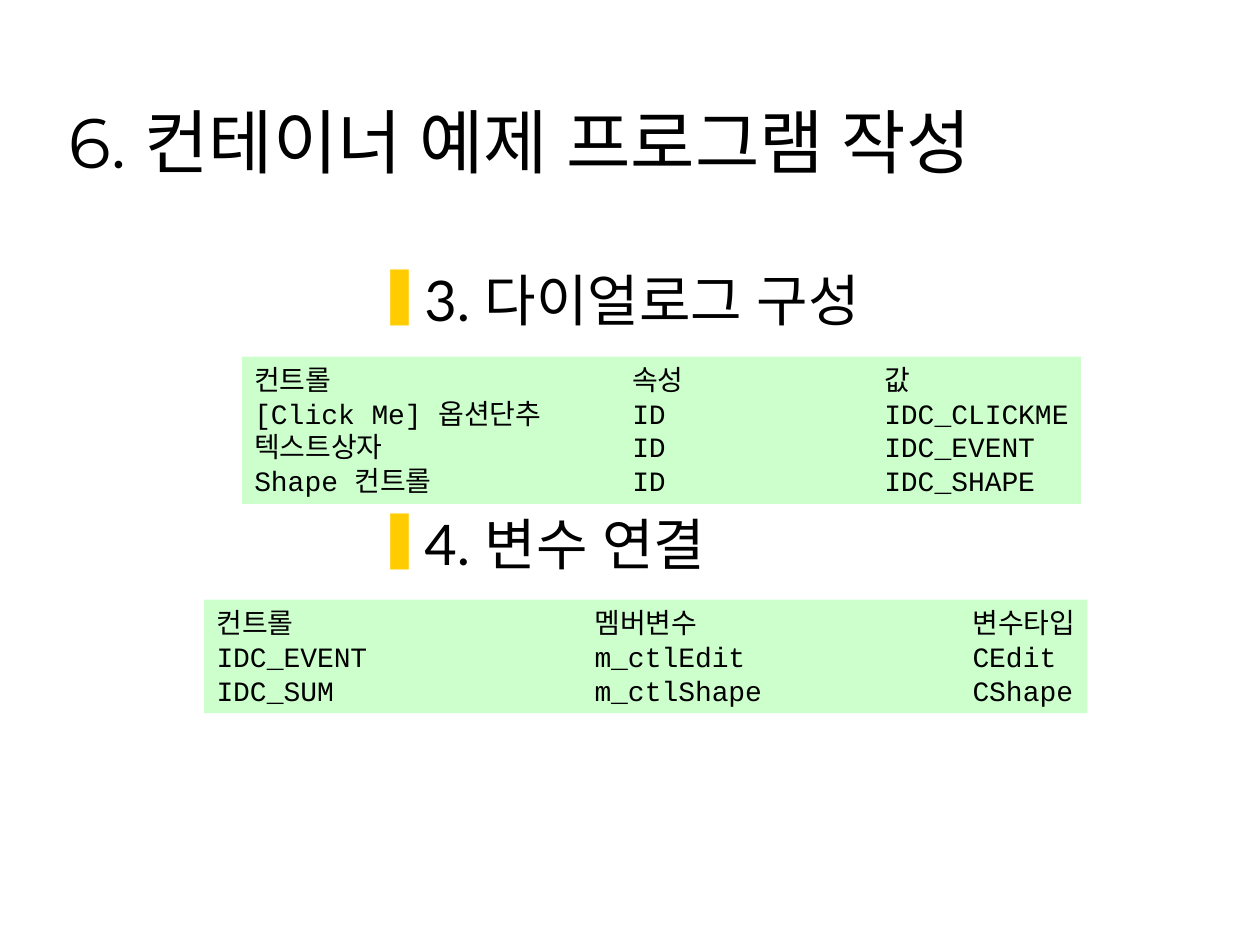
from dataclasses import dataclass

from lxml.etree import SubElement
from pptx import Presentation
from pptx.dml.color import RGBColor
from pptx.enum.shapes import MSO_SHAPE
from pptx.enum.text import MSO_ANCHOR, MSO_AUTO_SIZE, PP_ALIGN
from pptx.oxml.ns import qn
from pptx.util import Inches, Pt

BLACK = RGBColor(0x00, 0x00, 0x00)
AMBER = RGBColor(0xFF, 0xCC, 0x00)
MINT = RGBColor(0xCC, 0xFF, 0xCC)
HEADINGS = ["3. 다이얼로그 구성", "4. 변수 연결"]


@dataclass
class Listing:
    left: float
    top: float
    width: float
    height: float
    rows: list[str]


LISTINGS = [
    Listing(1.92, 2.83, 6.66, 1.17, [
        "컨트롤\t\t\t속성\t\t값",
        "[Click Me] 옵션단추\tID\t\tIDC_CLICKME",
        "텍스트상자\t\tID\t\tIDC_EVENT",
        "Shape 컨트롤\t\tID\t\tIDC_SHAPE",
    ]),
    Listing(1.62, 4.76, 7.01, 0.9, [
        "컨트롤\t\t\t멤버변수\t\t\t변수타입",
        "IDC_EVENT\t\tm_ctlEdit\t\tCEdit",
        "IDC_SUM\t\t\tm_ctlShape\t\tCShape",
    ]),
]


def style_text(para, font_name: str, size: float) -> None:
    """Format every run, with one font for Latin and Korean text."""
    para.alignment = PP_ALIGN.LEFT
    for span in para.runs:
        span.font.name = font_name
        span.font.size = Pt(size)
        span.font.color.rgb = BLACK
        SubElement(span.font._element, qn("a:ea"), typeface=font_name)


def add_bullet(para, margin: float, hanging: float) -> None:
    properties = para._p.get_or_add_pPr()
    properties.set("marL", str(Inches(margin)))
    properties.set("indent", str(-Inches(hanging)))
    color = SubElement(properties, qn("a:buClr"))
    SubElement(color, qn("a:srgbClr"), val=str(AMBER))
    SubElement(properties, qn("a:buChar"), char="❚")


def add_tab_stops(para) -> None:
    """Put a left tab stop at every inch."""
    stops = SubElement(para._p.get_or_add_pPr(), qn("a:tabLst"))
    for inch in range(1, 8):
        SubElement(stops, qn("a:tab"), pos=str(Inches(inch)), algn="l")


def set_title(page, text: str) -> None:
    title = page.shapes.title
    title.left, title.top = Inches(0.44), Inches(0.25)
    title.width, title.height = Inches(9.14), Inches(1.25)
    title.text_frame.text = text
    title.text_frame.vertical_anchor = MSO_ANCHOR.BOTTOM
    style_text(title.text_frame.paragraphs[0], "Montserrat", 40)


def add_headings(page, headings: list[str]) -> None:
    box = page.shapes.add_textbox(Inches(0.5), Inches(2.06), Inches(8.94), Inches(4.56))
    frame = box.text_frame
    frame.word_wrap = True
    frame.text = "\n".join(headings)
    for index, para in enumerate(frame.paragraphs):
        add_bullet(para, margin=2.77, hanging=0.38)
        style_text(para, "Lato", 32)
        if index:
            para.space_before = Pt(101)


def add_listing(page, listing: Listing) -> None:
    box = page.shapes.add_shape(
        MSO_SHAPE.RECTANGLE, Inches(listing.left), Inches(listing.top),
        Inches(listing.width), Inches(listing.height))
    box.shadow.inherit = False
    box.fill.solid()
    box.fill.fore_color.rgb = MINT
    box.line.fill.background()
    frame = box.text_frame
    frame.word_wrap = True
    frame.auto_size = MSO_AUTO_SIZE.NONE
    frame.vertical_anchor = MSO_ANCHOR.TOP
    frame.margin_right = 0
    frame.text = "\n".join(listing.rows)
    for para in frame.paragraphs:
        add_tab_stops(para)
        style_text(para, "Courier New", 16)
        para.line_spacing = Pt(19.2)


def main() -> None:
    deck = Presentation()
    deck.slide_width, deck.slide_height = Inches(10), Inches(7.5)
    page = deck.slides.add_slide(deck.slide_layouts[5])
    set_title(page, "6. 컨테이너 예제 프로그램 작성")
    add_headings(page, HEADINGS)
    for listing in LISTINGS:
        add_listing(page, listing)
    deck.save("out.pptx")


if __name__ == "__main__":
    main()
